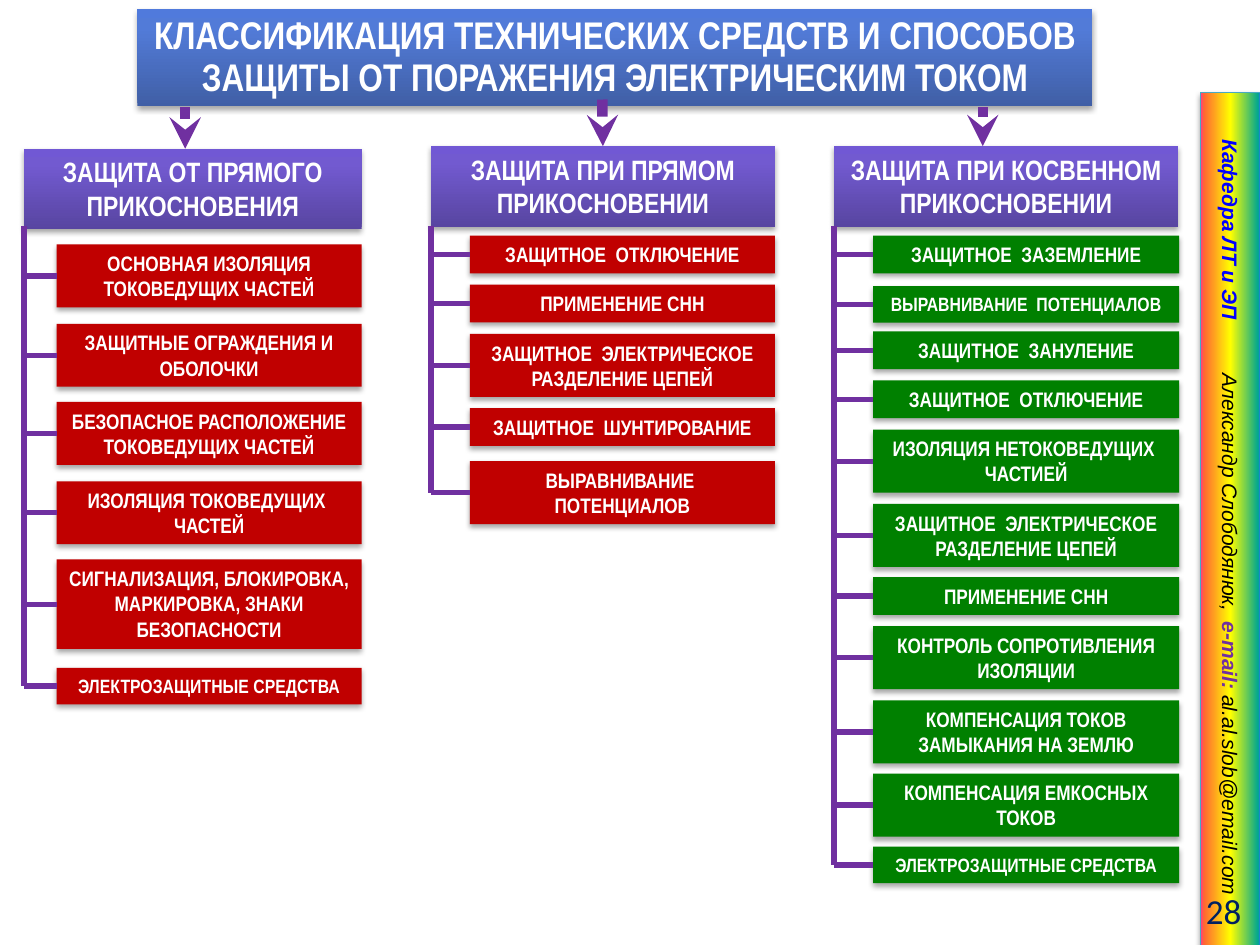
from lxml import etree
from pptx import Presentation
from pptx.dml.color import RGBColor
from pptx.enum.shapes import MSO_CONNECTOR, MSO_SHAPE
from pptx.enum.text import MSO_ANCHOR, MSO_AUTO_SIZE, PP_ALIGN
from pptx.oxml.ns import qn
from pptx.util import Inches, Pt

RECT = MSO_SHAPE.RECTANGLE
STRAIGHT = MSO_CONNECTOR.STRAIGHT
LEFT, CENTER, RIGHT = PP_ALIGN.LEFT, PP_ALIGN.CENTER, PP_ALIGN.RIGHT
MIDDLE = MSO_ANCHOR.MIDDLE
GROW = MSO_AUTO_SIZE.SHAPE_TO_FIT_TEXT
TOP_SIDE, LEFT_SIDE = 0, 1

WHITE, PURPLE, RED, GREEN = "FFFFFF", "7030A0", "C00000", "008000"
BLUE_GRADIENT = [(0, "405FA6"), (80, "527BD8"), (100, "507ADC")]
VIOLET_GRADIENT = [(0, "5845A1"), (80, "725AD0"), (100, "7158D4")]
RAINBOW = [(0, "FF3399"), (6, "FF6633"), (50, "FFFF00"), (96, "01A78F"), (100, "3366FF")]

BOX_HEIGHT = {1: 0.3, 2: 0.5, 3: 0.71}  # by number of text lines
SPINE_TOP = 1.79


def rgb(value):
    return RGBColor.from_string(value)


def add_xml(parent, tag, **attributes):
    return etree.SubElement(parent, qn(tag), attributes)


class Diagram:
    font = "Arial Narrow"

    def __init__(self, slide):
        self.shapes = slide.shapes

    def block(self, left, top, width, height, fill, shadow_alpha=35, shadow_gap=1.8):
        """Rectangle with a soft shadow; fill is a colour or a list of gradient stops."""
        shape = self.shapes.add_shape(RECT, Inches(left), Inches(top), Inches(width), Inches(height))
        shape.line.fill.background()
        if isinstance(fill, str):
            shape.fill.solid()
            shape.fill.fore_color.rgb = rgb(fill)
        else:
            shape.fill.gradient()
            shape.fill.gradient_angle = 90
            stops = shape.element.spPr.find(".//" + qn("a:gsLst"))
            stops.clear()
            for position, color in fill:
                stop = add_xml(stops, "a:gs", pos=str(position * 1000))
                add_xml(stop, "a:srgbClr", val=color)
        shape.shadow.inherit = False
        effects = shape.element.spPr.find(qn("a:effectLst"))
        shadow = add_xml(effects, "a:outerShdw", blurRad=str(Pt(3.1)), dist=str(Pt(shadow_gap)),
                         dir="5400000", rotWithShape="0")
        shade = add_xml(shadow, "a:srgbClr", val="000000")
        add_xml(shade, "a:alpha", val=str(shadow_alpha * 1000))
        return shape

    def label(self, left, top, width, height, fill, text, size, spacing=None):
        """Block with white bold centred text."""
        shape = self.block(left, top, width, height, fill)
        frame = shape.text_frame
        frame.word_wrap = True
        frame.auto_size = GROW
        frame.vertical_anchor = MSO_ANCHOR.TOP
        paragraph = frame.paragraphs[0]
        paragraph.text = text
        paragraph.alignment = CENTER
        if spacing:
            paragraph.line_spacing = Pt(spacing)
        self.style(paragraph, self.font, size, WHITE, bold=True)
        return shape

    def style(self, paragraph, name, size, color=None, **flags):
        font = paragraph.font
        font.name, font.size = name, Pt(size)
        if color:
            font.color.rgb = rgb(color)
        for flag, value in flags.items():
            setattr(font, flag, value)

    def line(self, x1, y1, x2, y2, width=3, arrow=False):
        connector = self.shapes.add_connector(STRAIGHT, Inches(x1), Inches(y1), Inches(x2), Inches(y2))
        connector.line.color.rgb = rgb(PURPLE)
        connector.line.width = Pt(width)
        properties = connector.element.spPr
        if arrow:
            add_xml(properties.find(qn("a:ln")), "a:tailEnd", type="stealth")
        add_xml(properties, "a:effectLst")
        return connector

    def sidebar(self, left, top, width, height, runs, tabs):
        """Rotated rainbow strip; tabs are measured from the text's left edge."""
        strip = self.block(left, top, width, height, RAINBOW, 38, 1.6)
        strip.rotation = 90
        strip.line.color.rgb = rgb("46AAC5")
        strip.line.width = Pt(0.75)
        frame = strip.text_frame
        frame.word_wrap = True
        frame.vertical_anchor = MIDDLE
        frame.margin_left = Inches(0.37)
        paragraph = frame.paragraphs[0]
        paragraph.alignment = LEFT
        tab_list = add_xml(paragraph._p.get_or_add_pPr(), "a:tabLst")
        for position in tabs:
            add_xml(tab_list, "a:tab", pos=str(Inches(position)), algn="l")
        self.style(paragraph, "Arial", 12, italic=True)
        for text, color, bold in runs:
            run = paragraph.add_run()
            run.text = text
            run.font.color.rgb = rgb(color)
            run.font.bold = bold

    def page_number(self, left, top, width, height, text):
        box = self.shapes.add_textbox(Inches(left), Inches(top), Inches(width), Inches(height))
        frame = box.text_frame
        frame.word_wrap = True
        frame.vertical_anchor = MIDDLE
        paragraph = frame.paragraphs[0]
        paragraph.text = text
        paragraph.alignment = RIGHT
        self.style(paragraph, "Calibri", 20, "002060")

    def branch(self, header, left, top, width, box_left, box_width, fill, items, arrow_x, arrow_top):
        """Header with an arrow from the title and boxes hung on a spine."""
        heading = self.label(left, top, width, 0.64, VIOLET_GRADIENT, header, 16)
        boxes = []
        for box_top, lines, text, size in items:
            height = BOX_HEIGHT[lines] if size == 12 else 0.29
            box = self.label(box_left, box_top, box_width, height, fill, text, size)
            boxes.append((box, box_top + height / 2))
        self.line(left, SPINE_TOP, left, boxes[-1][1])
        for box, middle in boxes:
            self.line(left, middle, box_left, middle).end_connect(box, LEFT_SIDE)
        arrow = self.line(arrow_x, arrow_top, arrow_x, top, 6, arrow=True)
        if abs(left + width / 2 - arrow_x) < 0.01:
            arrow.end_connect(heading, TOP_SIDE)


# Box tops, line counts, texts and text sizes
AGAINST_DIRECT = [
    (1.94, 2, "ОСНОВНАЯ ИЗОЛЯЦИЯ ТОКОВЕДУЩИХ ЧАСТЕЙ", 12),
    (2.57, 2, "ЗАЩИТНЫЕ ОГРАЖДЕНИЯ И ОБОЛОЧКИ", 12),
    (3.19, 2, "БЕЗОПАСНОЕ РАСПОЛОЖЕНИЕ ТОКОВЕДУЩИХ ЧАСТЕЙ", 12),
    (3.82, 2, "ИЗОЛЯЦИЯ ТОКОВЕДУЩИХ  ЧАСТЕЙ", 12),
    (4.44, 3, "СИГНАЛИЗАЦИЯ, БЛОКИРОВКА, МАРКИРОВКА, ЗНАКИ БЕЗОПАСНОСТИ", 12),
    (5.3, 1, "ЭЛЕКТРОЗАЩИТНЫЕ СРЕДСТВА", 11),
]
DURING_DIRECT = [
    (1.87, 1, "ЗАЩИТНОЕ  ОТКЛЮЧЕНИЕ", 12),
    (2.26, 1, "ПРИМЕНЕНИЕ СНН", 12),
    (2.65, 2, "ЗАЩИТНОЕ  ЭЛЕКТРИЧЕСКОЕ РАЗДЕЛЕНИЕ ЦЕПЕЙ", 12),
    (3.24, 1, "ЗАЩИТНОЕ  ШУНТИРОВАНИЕ", 12),
    (3.66, 2, "ВЫРАВНИВАНИЕ  ПОТЕНЦИАЛОВ", 12),
]
DURING_INDIRECT = [
    (1.87, 1, "ЗАЩИТНОЕ  ЗАЗЕМЛЕНИЕ", 12),
    (2.27, 1, "ВЫРАВНИВАНИЕ  ПОТЕНЦИАЛОВ", 11),
    (2.63, 1, "ЗАЩИТНОЕ  ЗАНУЛЕНИЕ", 12),
    (3.02, 1, "ЗАЩИТНОЕ  ОТКЛЮЧЕНИЕ", 12),
    (3.41, 2, "ИЗОЛЯЦИЯ НЕТОКОВЕДУЩИХ  ЧАСТИЕЙ", 12),
    (4, 2, "ЗАЩИТНОЕ  ЭЛЕКТРИЧЕСКОЕ РАЗДЕЛЕНИЕ ЦЕПЕЙ", 12),
    (4.58, 1, "ПРИМЕНЕНИЕ СНН", 12),
    (4.97, 2, "КОНТРОЛЬ СОПРОТИВЛЕНИЯ ИЗОЛЯЦИИ", 12),
    (5.56, 2, "КОМПЕНСАЦИЯ ТОКОВ ЗАМЫКАНИЯ НА ЗЕМЛЮ", 12),
    (6.14, 2, "КОМПЕНСАЦИЯ ЕМКОСНЫХ ТОКОВ", 12),
    (6.72, 1, "ЭЛЕКТРОЗАЩИТНЫЕ СРЕДСТВА", 11),
]


def main():
    deck = Presentation()
    deck.slide_width, deck.slide_height = Inches(10), Inches(7.5)
    diagram = Diagram(deck.slides.add_slide(deck.slide_layouts[6]))

    # Author strip and page number
    diagram.sidebar(6.38, 3.88, 6.77, 0.48, [
        ("Кафедра ЛТ и ЭП\t", "0000FF", True),
        ("Александр Слободянюк,\t", "000000", False),
        ("e-mail: ", PURPLE, True),
        ("al.al.slob@email.com", "000000", False),
    ], tabs=(1.86, 3.83))
    diagram.page_number(8.86, 7.03, 1.09, 0.4, "28")

    # Title
    diagram.label(1.09, 0.07, 7.58, 0.77, BLUE_GRADIENT,
                  "КЛАССИФИКАЦИЯ ТЕХНИЧЕСКИХ СРЕДСТВ И СПОСОБОВ "
                  "ЗАЩИТЫ ОТ ПОРАЖЕНИЯ ЭЛЕКТРИЧЕСКИМ ТОКОМ", 22, spacing=24)

    # Three branches
    diagram.branch("ЗАЩИТА ОТ ПРЯМОГО ПРИКОСНОВЕНИЯ", 0.19, 1.18, 2.68,
                   0.45, 2.42, RED, AGAINST_DIRECT, 1.47, 0.85)
    diagram.branch("ЗАЩИТА ПРИ ПРЯМОМ ПРИКОСНОВЕНИИ", 3.42, 1.16, 2.73,
                   3.73, 2.42, RED, DURING_DIRECT, 4.78, 0.79)
    diagram.branch("ЗАЩИТА ПРИ КОСВЕННОМ ПРИКОСНОВЕНИИ", 6.62, 1.16, 2.73,
                   6.93, 2.43, GREEN, DURING_INDIRECT, 7.8, 0.85)

    deck.save("out.pptx")


if __name__ == "__main__":
    main()
